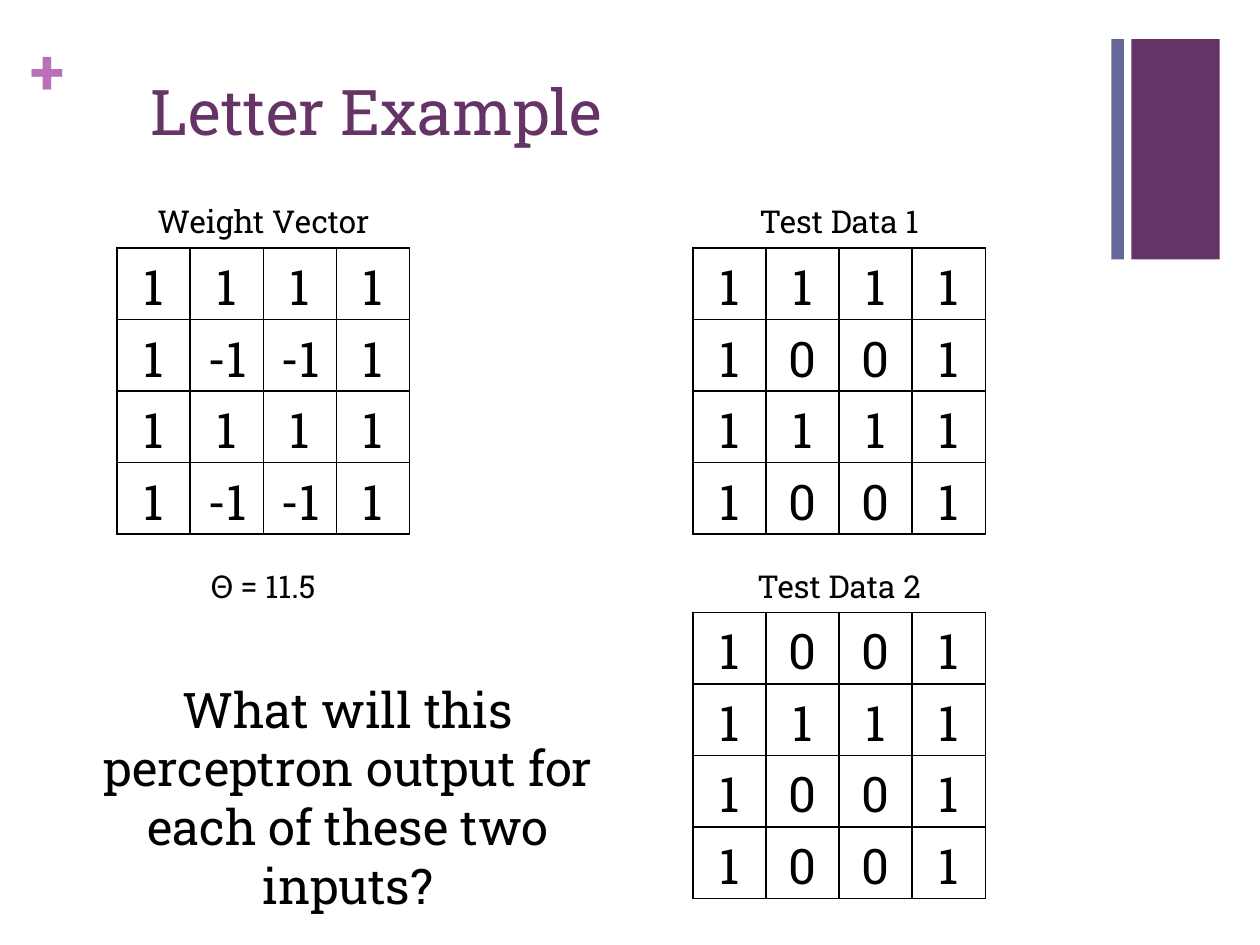
from lxml import etree
from pptx import Presentation
from pptx import util as u
from pptx.dml.color import RGBColor
from pptx.enum import shapes, text
from pptx.oxml import ns

COLORS = {"plum": "663366", "slate": "666699", "orchid": "B870B8",
          "ink": "000000"}


class SlideBuilder:
    font = "Roboto Slab"
    cell_width, cell_height = 0.58, 0.56

    def __init__(self, slide):
        self.slide = slide

    def add_words(self, frame, words, size, color, bold=False, centered=True):
        paragraph = frame.paragraphs[0]
        paragraph.alignment = (text.PP_ALIGN.CENTER if centered
                               else text.PP_ALIGN.LEFT)
        run = paragraph.add_run()
        run.text = words
        run.font.name = self.font
        run.font.size = u.Pt(size)
        run.font.bold = bold
        run.font.color.rgb = RGBColor.from_string(COLORS[color])

    def bar(self, left, top, width, height, color):
        bar = self.slide.shapes.add_shape(
            shapes.MSO_SHAPE.RECTANGLE,
            *map(u.Inches, (left, top, width, height)))
        bar.shadow.inherit = False
        bar.fill.solid()
        bar.fill.fore_color.rgb = RGBColor.from_string(COLORS[color])
        bar.line.fill.background()

    def label(self, left, top, width, height, words, size, color="ink",
              bold=False, centered=True, grow=True, inset=True):
        frame = self.slide.shapes.add_textbox(
            *map(u.Inches, (left, top, width, height))).text_frame
        frame.word_wrap = True
        frame.auto_size = (text.MSO_AUTO_SIZE.SHAPE_TO_FIT_TEXT if grow
                           else text.MSO_AUTO_SIZE.NONE)
        if not inset:
            frame.margin_left = frame.margin_right = 0
            frame.margin_top = frame.margin_bottom = 0
        self.add_words(frame, words, size, color, bold, centered)

    def border(self, cell):
        properties = cell._tc.get_or_add_tcPr()
        for position, side in enumerate(("lnL", "lnR", "lnT", "lnB")):
            line = etree.Element(ns.qn("a:" + side), w=str(u.Pt(1)))
            fill = etree.SubElement(line, ns.qn("a:solidFill"))
            etree.SubElement(fill, ns.qn("a:srgbClr"), val=COLORS["ink"])
            properties.insert(position, line)

    def grid(self, left, top, rows):
        count = len(rows[0])
        table = self.slide.shapes.add_table(
            len(rows), count, u.Inches(left), u.Inches(top),
            u.Inches(self.cell_width * count),
            u.Inches(self.cell_height * len(rows))).table
        table.first_row = table.horz_banding = False
        for column in table.columns:
            column.width = u.Inches(self.cell_width)
        for r, values in enumerate(rows):
            table.rows[r].height = u.Inches(self.cell_height)
            for c, value in enumerate(values):
                cell = table.cell(r, c)
                cell.fill.background()
                self.border(cell)
                self.add_words(cell.text_frame, str(value), 28, "ink")


deck = Presentation()
deck.slide_width, deck.slide_height = u.Inches(10), u.Inches(7.5)
page = SlideBuilder(deck.slides.add_slide(deck.slide_layouts[6]))

# Corner decoration
page.bar(8.98, 0.31, 0.7, 1.75, "plum")
page.label(0.24, 0.25, 0.29, 0.61, "+", 36, "orchid", bold=True,
           centered=False, inset=False)
page.bar(8.82, 0.31, 0.1, 1.75, "slate")

# Title
page.label(1.1, 0.53, 8.26, 1.22, "Letter Example", 36, "plum",
           centered=False, grow=False)

# Letter matrices
weights_left, tests_left = 0.93, 5.5
upper_caption, lower_caption = 1.55, 4.45
solid, hollow, negative = [1, 1, 1, 1], [1, 0, 0, 1], [1, -1, -1, 1]
page.grid(weights_left, 1.97, [solid, negative, solid, negative])
page.grid(tests_left, 1.97, [solid, hollow, solid, hollow])
page.grid(tests_left, 4.86, [hollow, solid, hollow, hollow])

# Captions
for left, top, caption in (
        (weights_left, upper_caption, "Weight Vector"),
        (weights_left, lower_caption, "Θ = 11.5"),
        (tests_left, upper_caption, "Test Data 1"),
        (tests_left, lower_caption, "Test Data 2")):
    page.label(left, top, 2.32, 0.42, caption, 18)

# Question
page.label(0.39, 5.34, 4.74, 1.51,
           "What will this perceptron output for each of these two inputs?",
           28)

deck.save("out.pptx")
